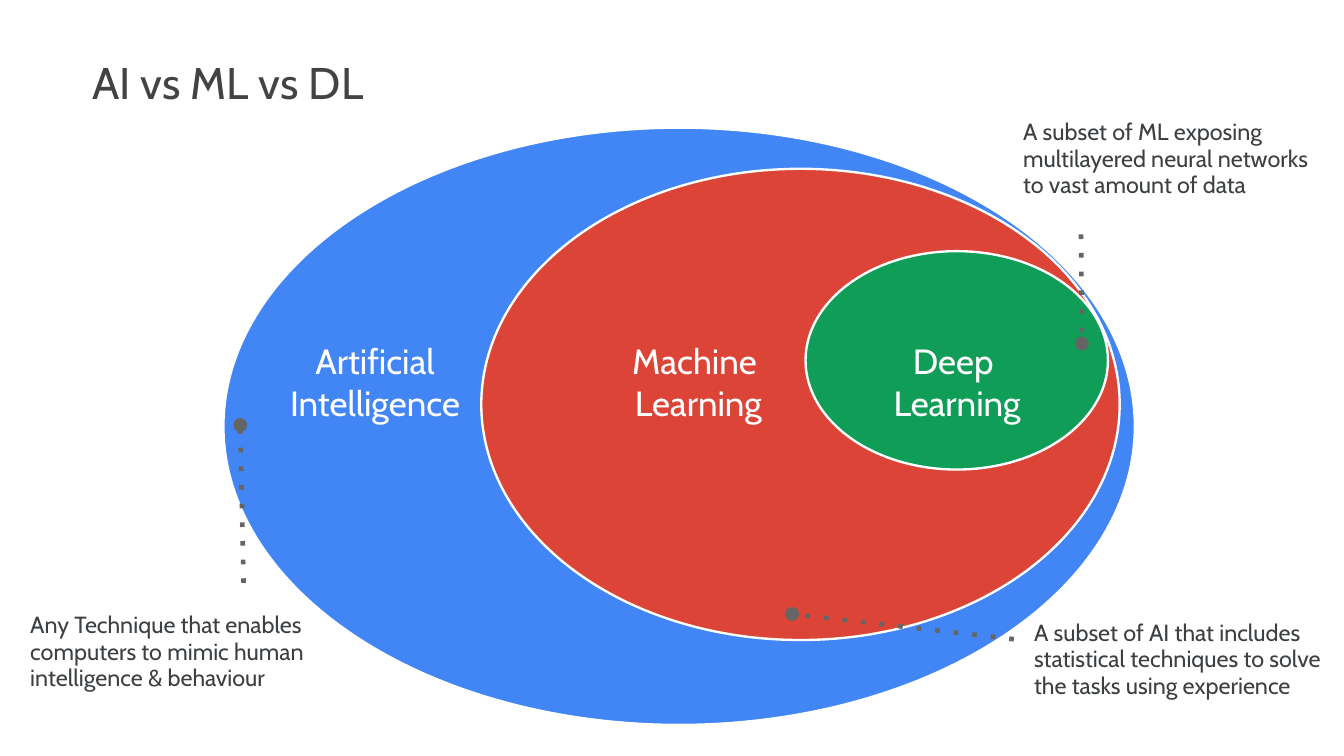
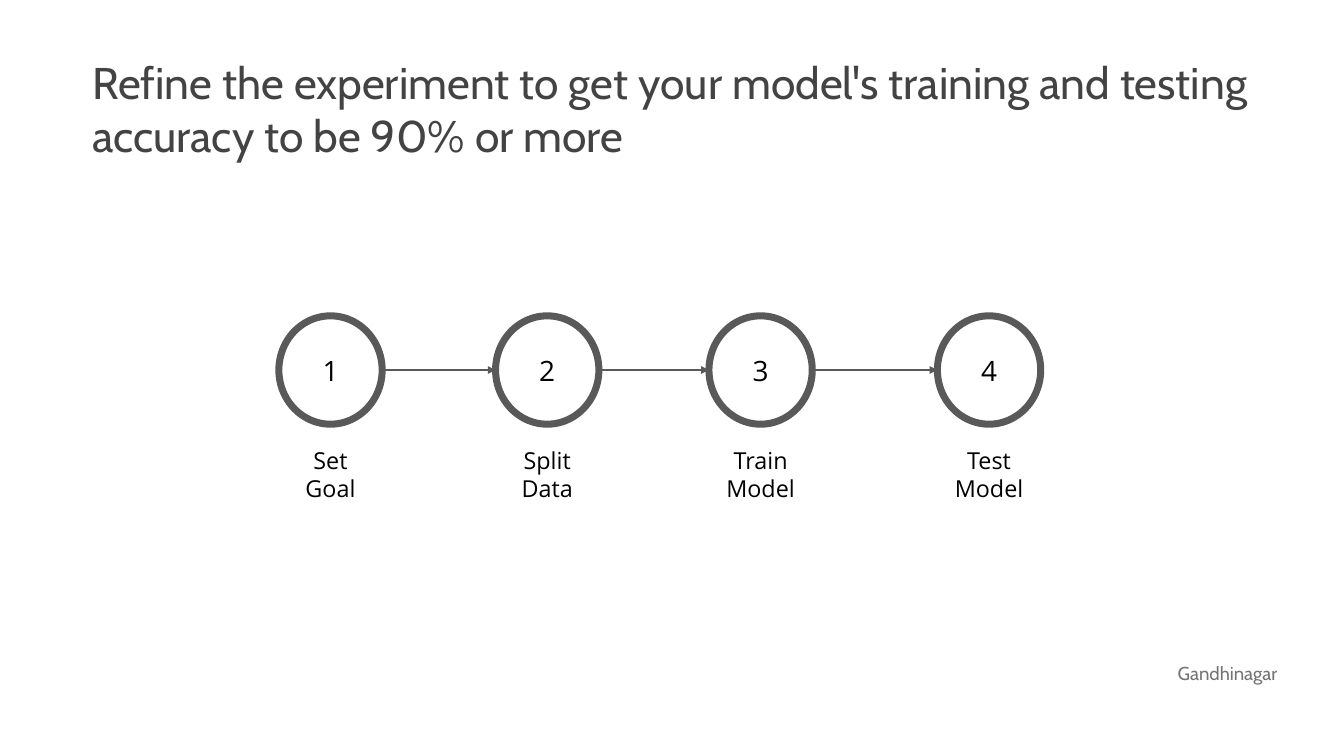
import lxml.etree
import pptx
import pptx.dml.color
import pptx.enum.shapes
import pptx.enum.text
import pptx.oxml.ns
import pptx.util

Inches = pptx.util.Inches
Pt = pptx.util.Pt
ALIGN = pptx.enum.text.PP_ALIGN
ANCHOR = pptx.enum.text.MSO_ANCHOR

WHITE = "FFFFFF"
STEP_GREY = "595959"
TITLE_STYLE = {"size": 38, "name": "Cabin", "color": "434343"}
CALLOUT_STYLE = {"size": 20, "name": "Cabin", "color": "3C4043"}
FIELD_STYLE = {"size": 30, "name": "Cabin", "color": WHITE}
FOOTER_STYLE = {"size": 16, "name": "Cabin", "color": "747474"}
NUMBER_STYLE = {"size": 24, "name": "Open Sans", "color": "000000"}
STEP_STYLE = {"size": 20, "name": "Open Sans", "color": "000000"}

FIELDS_TITLE = "AI vs ML vs DL"
# Boxes are left, top, width, height in inches.
FIELD_ELLIPSES = [
    ("4285F4", (2.66, 1.52, 10.85, 7.11)),
    ("DB4437", (5.73, 2.01, 7.6, 5.61)),
    ("0F9D58", (9.59, 2.99, 3.6, 2.6)),
]
FIELD_LABELS = [
    (["Artificial Intelligence"], (3.2, 4.03, 2.53, 1.03)),
    (["Deep ", "Learning"], (9.65, 4.03, 3.49, 1.03)),
    (["Machine ", "Learning"], (6.17, 3.79, 4.29, 1.51)),
]
# Text, its left and top, then the start and end of its leader.
CALLOUTS = [
    ("Any Technique that enables computers to mimic human intelligence & behaviour",
     (0.29, 7.22), (2.9, 6.94), (2.86, 5.06)),
    ("A subset of ML exposing multilayered neural networks to vast amount of data",
     (12.11, 1.35), (12.87, 2.79), (12.88, 4.09)),
    ("A subset of AI that includes statistical techniques to solve the tasks using experience",
     (12.24, 7.31), (12.07, 7.61), (9.43, 7.31)),
]
CALLOUT_SIZE = (3.6, 0.59)

STEPS_TITLE = ("Refine the experiment to get your model's training and testing "
               "accuracy to be 90% or more")
STEPS = [(["Set", "Goal"], 3.32), (["Split", "Data"], 5.9),
         (["Train", "Model"], 8.44), (["Test", "Model"], 11.16)]
CIRCLE_TOP, CIRCLE_WIDTH, CIRCLE_HEIGHT = 3.76, 1.23, 1.29
LABEL_TOP, LABEL_WIDTH, LABEL_HEIGHT = 5.21, 1.63, 1.11
FOOTER = "Gandhinagar"


def color(hex_string):
    return pptx.dml.color.RGBColor.from_string(hex_string)


def inches(lengths):
    return [Inches(length) for length in lengths]


def write_text(shape, lines, style, margin=0.1, align=ALIGN.LEFT,
               anchor=ANCHOR.TOP, line_spacing=None):
    frame = shape.text_frame
    frame_format = {"word_wrap": True, "vertical_anchor": anchor}
    for side in ("left", "top", "right", "bottom"):
        frame_format[f"margin_{side}"] = Inches(margin)
    for name, value in frame_format.items():
        setattr(frame, name, value)
    for index, line in enumerate(lines):
        paragraph = frame.add_paragraph() if index else frame.paragraphs[0]
        run = paragraph.add_run()
        run.text = line
        paragraph.alignment = align
        paragraph.line_spacing = line_spacing
        for name, value in {"size": Pt(style["size"]), "name": style["name"]}.items():
            setattr(run.font, name, value)
        run.font.color.rgb = color(style["color"])


def add_text(slide, box, lines, style, **text_format):
    write_text(slide.shapes.add_textbox(*inches(box)), lines, style, **text_format)


def add_ellipse(slide, box, fill, line, width):
    ellipse = slide.shapes.add_shape(
        pptx.enum.shapes.MSO_SHAPE.OVAL, *inches(box))
    ellipse.shadow.inherit = False
    ellipse.fill.solid()
    ellipse.fill.fore_color.rgb = color(fill)
    ellipse.line.color.rgb = color(line)
    ellipse.line.width = Pt(width)
    return ellipse


def add_line(slide, start, end, line, width, head, dash="solid"):
    """Draw a straight line with the given head at its end."""
    connector = slide.shapes.add_connector(
        pptx.enum.shapes.MSO_CONNECTOR.STRAIGHT, *inches(start + end))
    connector.line.color.rgb = color(line)
    connector.line.width = Pt(width)
    properties = connector.element.spPr
    outline = properties.find(pptx.oxml.ns.qn("a:ln"))
    for parent, tag, attributes in (
        (outline, "a:prstDash", {"val": dash}),
        (outline, "a:tailEnd", {"type": head}),
        (properties, "a:effectLst", {}),
    ):
        lxml.etree.SubElement(parent, pptx.oxml.ns.qn(tag), attributes)


def add_titled_slide(presentation, title, title_width):
    slide = presentation.slides.add_slide(presentation.slide_layouts[6])
    add_text(slide, (1, 0.56, title_width, 1.01), [title], TITLE_STYLE)
    return slide


def build_fields_slide(presentation):
    slide = add_titled_slide(presentation, FIELDS_TITLE, 9.33)
    for fill, box in FIELD_ELLIPSES:
        add_ellipse(slide, box, fill, WHITE, 2)
    for lines, box in FIELD_LABELS:
        add_text(slide, box, lines, FIELD_STYLE, margin=0,
                 align=ALIGN.CENTER, anchor=ANCHOR.MIDDLE)
    for text, corner, start, end in CALLOUTS:
        add_line(slide, start, end, "656565", 4, "oval", "dot")
        add_text(slide, corner + CALLOUT_SIZE, [text], CALLOUT_STYLE,
                 margin=0.07, line_spacing=0.95)


def build_steps_slide(presentation):
    slide = add_titled_slide(presentation, STEPS_TITLE, 14.13)
    add_text(slide, (14.02, 7.84, 1.8, 0.92), [FOOTER], FOOTER_STYLE,
             margin=0, line_spacing=1.15)
    middle = CIRCLE_TOP + CIRCLE_HEIGHT / 2
    previous_right = None
    for number, (lines, left) in enumerate(STEPS, start=1):
        if previous_right is not None:
            add_line(slide, (previous_right, middle), (left, middle),
                     STEP_GREY, 2.25, "triangle")
        previous_right = left + CIRCLE_WIDTH
        circle = add_ellipse(slide, (left, CIRCLE_TOP, CIRCLE_WIDTH, CIRCLE_HEIGHT),
                             WHITE, STEP_GREY, 6)
        write_text(circle, [str(number)], NUMBER_STYLE,
                   align=ALIGN.CENTER, anchor=ANCHOR.MIDDLE)
        label_left = left + (CIRCLE_WIDTH - LABEL_WIDTH) / 2
        add_text(slide, (label_left, LABEL_TOP, LABEL_WIDTH, LABEL_HEIGHT),
                 lines, STEP_STYLE, align=ALIGN.CENTER)


def main():
    presentation = pptx.Presentation()
    presentation.slide_width = Inches(16)
    presentation.slide_height = Inches(9)
    build_fields_slide(presentation)
    build_steps_slide(presentation)
    presentation.save("out.pptx")


if __name__ == "__main__":
    main()
